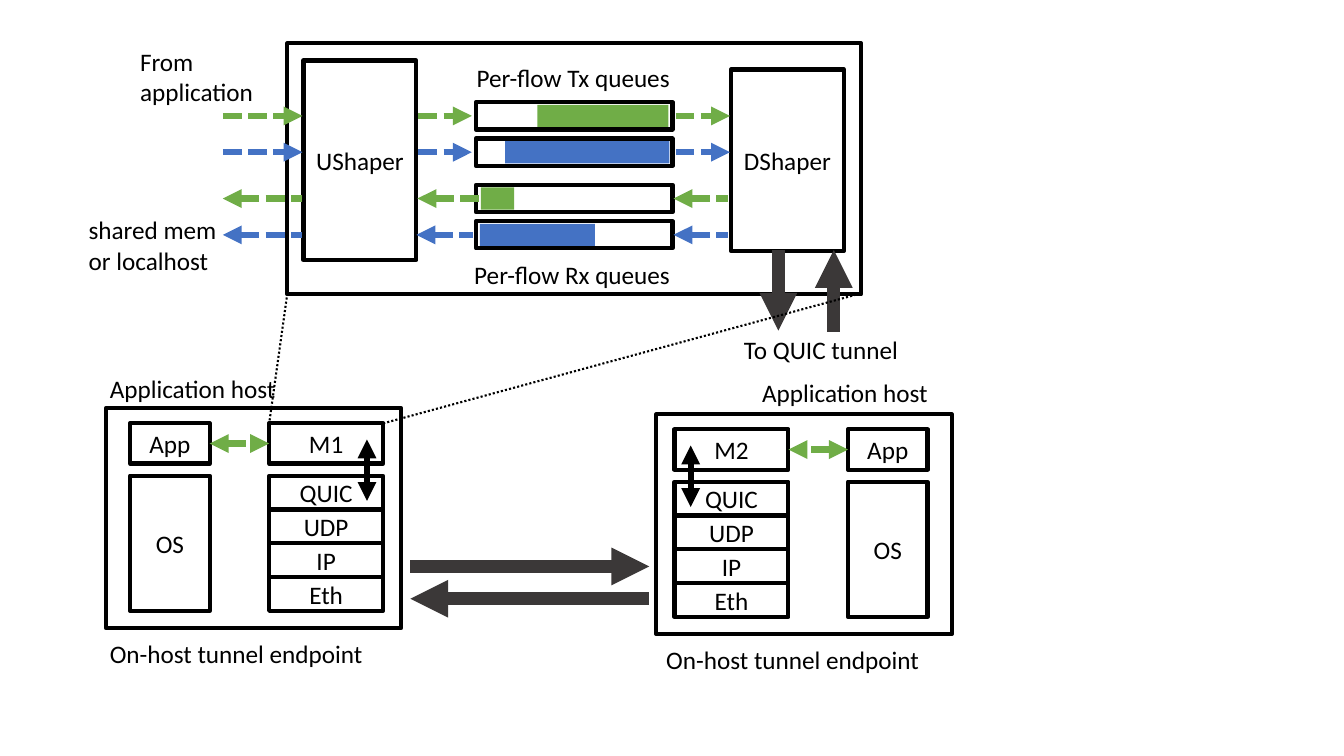
from lxml.etree import SubElement
from pptx import Presentation
from pptx.dml.color import RGBColor
from pptx.enum.dml import MSO_LINE_DASH_STYLE as Dash
from pptx.enum.shapes import MSO_CONNECTOR as Connector, MSO_SHAPE as Shape
from pptx.enum.text import PP_ALIGN as Align
from pptx.oxml.ns import qn
from pptx.util import Pt

PX = 9144
SLIDE_W, SLIDE_H = 1333, 750
BLACK = RGBColor(0x00, 0x00, 0x00)
GREEN = RGBColor(0x70, 0xAD, 0x47)
BLUE = RGBColor(0x44, 0x72, 0xC4)
GREY = RGBColor(0x3B, 0x38, 0x38)
HEAD, TAIL = ("headEnd",), ("tailEnd",)
BOTH = HEAD + TAIL

MIDDLEBOX = (285, 43, 569, 249)
SHAPERS = [("UShaper", 301, 60, 112, 198), ("DShaper", 725, 69, 112, 180)]

QUEUE_X, QUEUE_W, QUEUE_H, FILL_H = 472, 195, 27, 22
LANES = [
    (115, GREEN, TAIL, 533, 130, [(221, 300), (415, 468), (670, 724)]),
    (151, BLUE, TAIL, 501, 163, [(221, 300), (415, 468), (670, 724)]),
    (197, GREEN, HEAD, 477, 33, [(221, 300), (414, 488), (668, 722)]),
    (233, BLUE, HEAD, 476, 114, [(221, 300), (413, 469), (668, 722)]),
]

TUNNEL_ARROWS = [
    (772, 248, 772, 328, TAIL),
    (827, 248, 827, 329, HEAD),
    (407, 562, 644, 562, TAIL),
    (407, 594, 644, 594, HEAD),
]
ZOOM_LINES = [(285, 291, 267, 420), (380, 420, 854, 291)]

HOST_W, HOST_H = 293, 218
HOSTS = [("M1", 105, 405, False), ("M2", 651, 411, True)]
APP = (24, 15, 79, 40)
OS = (24, 67, 79, 134)
MODULE = (162, 15, 113, 40)
STACK = (162, 67, 113, 134)
LAYERS = ["QUIC", "UDP", "IP", "Eth"]
MODULE_ARROW_X, MODULE_ARROW_TOP, MODULE_ARROW_BOTTOM = 259, 31, 92

LABELS = [
    ("To QUIC tunnel", 728, 327, 174, 40, Align.LEFT),
    ("From application", 129, 41, 149, 71, Align.LEFT),
    ("Per-flow Tx queues", 447, 57, 243, 40, Align.CENTER),
    ("Per-flow Rx queues", 446, 252, 243, 40, Align.CENTER),
    ("shared mem or localhost", 78, 208, 149, 71, Align.LEFT),
    ("Application host", 99, 365, 205, 40, Align.LEFT),
    ("On-host tunnel endpoint", 99, 628, 282, 40, Align.LEFT),
    ("Application host", 746, 369, 205, 40, Align.LEFT),
    ("On-host tunnel endpoint", 651, 634, 300, 40, Align.LEFT),
]

prs = Presentation()
prs.slide_width, prs.slide_height = SLIDE_W * PX, SLIDE_H * PX
shapes = prs.slides.add_slide(prs.slide_layouts[6]).shapes


def emu(*lengths):
    return [round(length * PX) for length in lengths]


def write(holder, words, align):
    frame = holder.text_frame
    frame.word_wrap = True
    frame.text = words
    paragraph = frame.paragraphs[0]
    paragraph.alignment = align
    font = paragraph.runs[0].font
    font.name, font.size = "Calibri", Pt(18)
    font.color.rgb = BLACK


def box(x, y, w, h, words="", fill=None):
    rect = shapes.add_shape(Shape.RECTANGLE, *emu(x, y, w, h))
    rect.shadow.inherit = False
    if fill is None:
        rect.fill.background()
        rect.line.color.rgb = BLACK
        rect.line.width = Pt(3)
    else:
        rect.fill.solid()
        rect.fill.fore_color.rgb = fill
        rect.line.fill.background()
    if words:
        write(rect, words, Align.CENTER)
    return rect


def link(x1, y1, x2, y2, color, width, ends=(), dash=None):
    line = shapes.add_connector(Connector.STRAIGHT, *emu(x1, y1, x2, y2))
    line.line.color.rgb = color
    line.line.width = Pt(width)
    if dash is not None:
        line.line.dash_style = dash
    properties = line.line._get_or_add_ln()
    for end in ends:
        SubElement(properties, qn(f"a:{end}"), type="triangle")
    SubElement(properties.getparent(), qn("a:effectLst"))
    return line


def draw_host(module_name, left, top, mirrored):
    def place(part, words):
        dx, dy, w, h = part
        x = left + (HOST_W - dx - w if mirrored else dx)
        return box(x, top + dy, w, h, words)

    app = place(APP, "App")
    module = place(MODULE, module_name)
    place(OS, "OS")
    stack_x, stack_y, stack_w, stack_h = STACK
    layer_h = stack_h / len(LAYERS)
    for row, layer in enumerate(LAYERS):
        place((stack_x, stack_y + row * layer_h, stack_w, layer_h), layer)
    box(left, top, HOST_W, HOST_H)

    app_side, module_side = (1, 3) if mirrored else (3, 1)
    local = link(0, 0, 0, 0, GREEN, 4.5, BOTH, Dash.SQUARE_DOT)
    local.begin_connect(app, app_side)
    local.end_connect(module, module_side)
    x = left + (HOST_W - MODULE_ARROW_X if mirrored else MODULE_ARROW_X)
    link(x, top + MODULE_ARROW_TOP, x, top + MODULE_ARROW_BOTTOM, BLACK, 4.5, BOTH)


box(*MIDDLEBOX)
for name, *place in SHAPERS:
    box(*place, name)
for y, color, ends, fill_x, fill_w, spans in LANES:
    box(QUEUE_X, y - QUEUE_H / 2, QUEUE_W, QUEUE_H)
    box(fill_x, y - FILL_H / 2, fill_w, FILL_H, fill=color)
    for x1, x2 in spans:
        link(x1, y, x2, y, color, 4.5, ends, Dash.SQUARE_DOT)
for *route, ends in TUNNEL_ARROWS:
    link(*route, GREY, 9, ends)
for route in ZOOM_LINES:
    link(*route, BLACK, 1.5, dash=Dash.ROUND_DOT)
for host in HOSTS:
    draw_host(*host)
for words, *place, align in LABELS:
    write(shapes.add_textbox(*emu(*place)), words, align)

prs.save("out.pptx")
